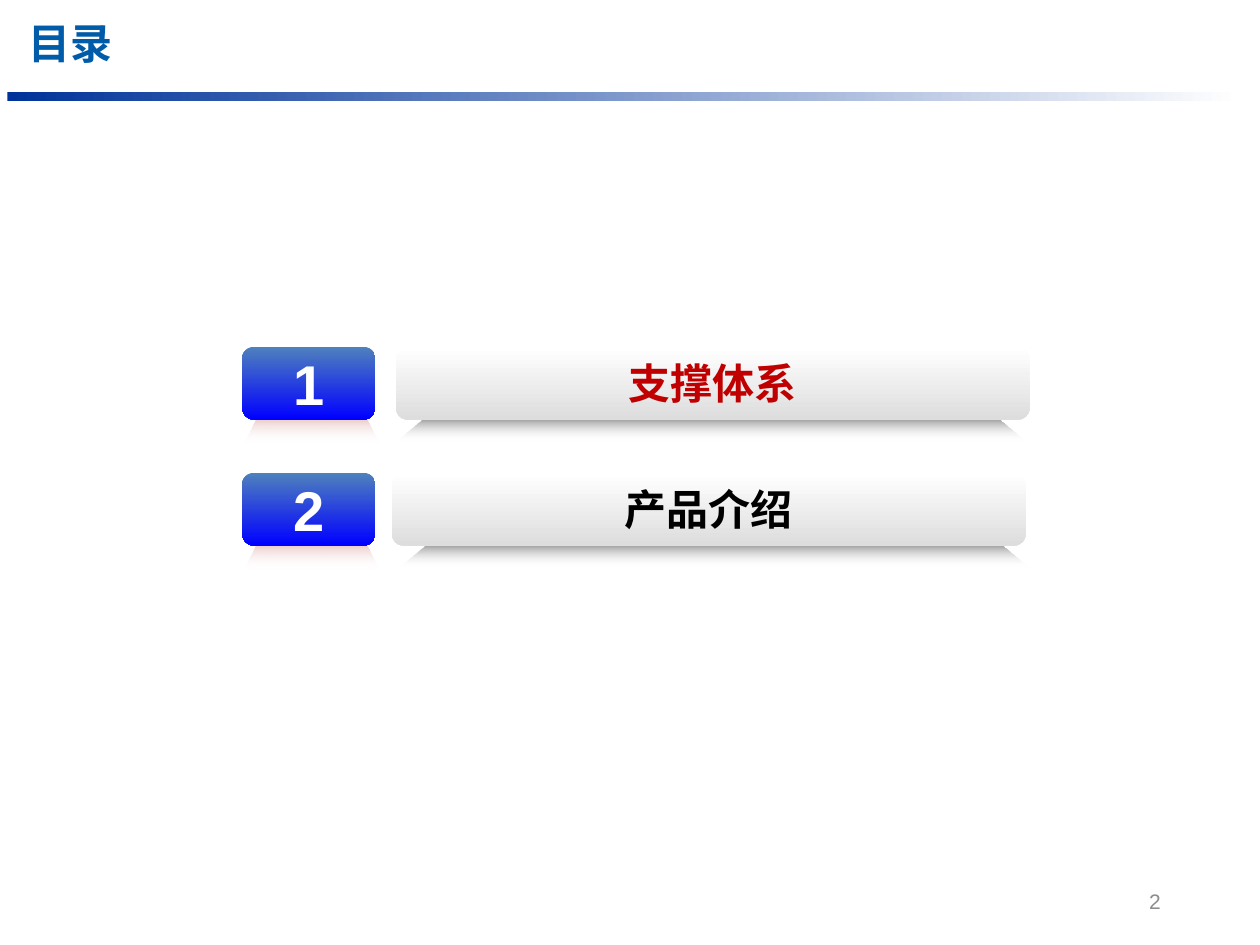
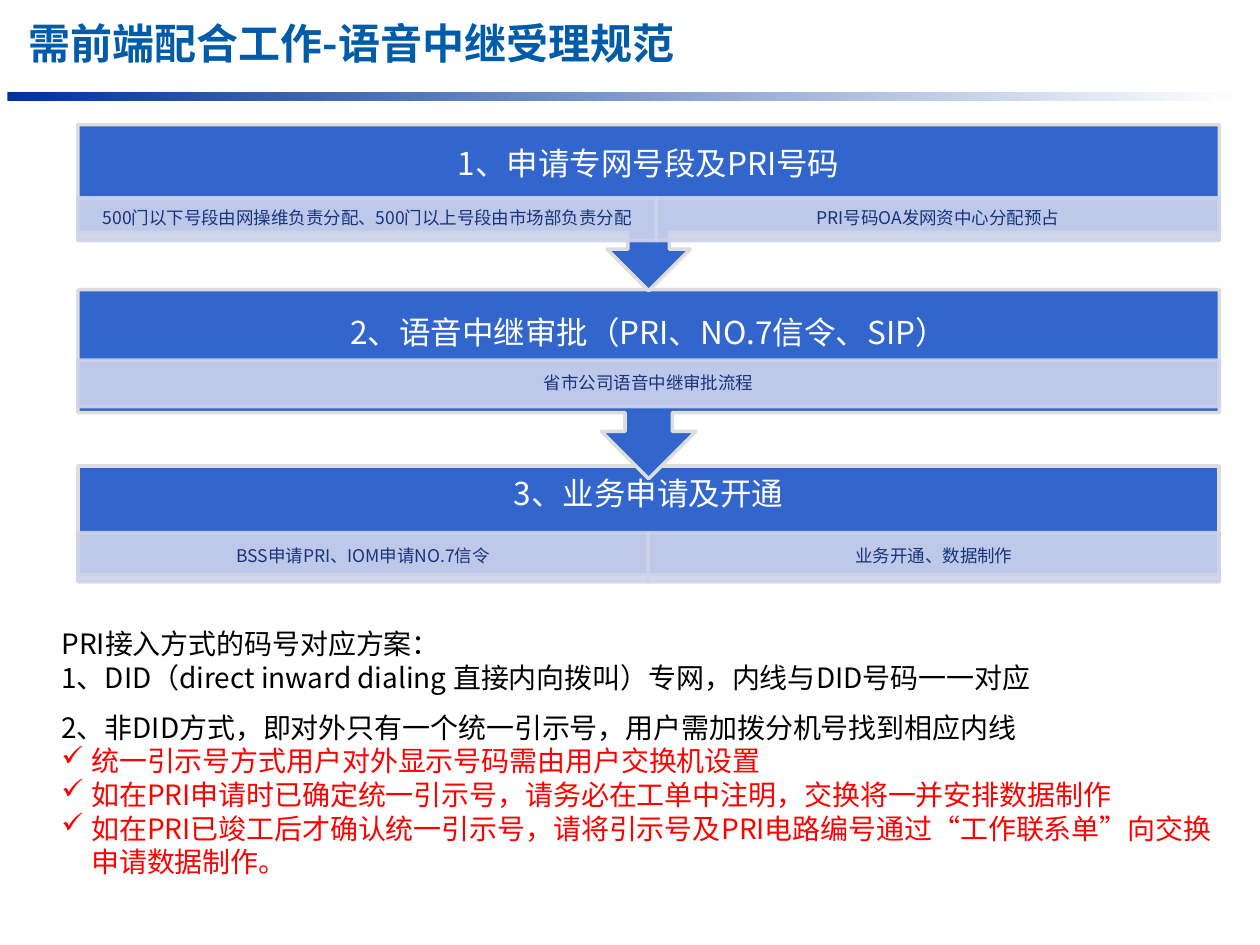
"""Build a contents slide and a slide on voice trunk acceptance."""
from typing import NamedTuple

from lxml import etree
from pptx import Presentation
from pptx.dml.color import RGBColor
from pptx.enum.shapes import MSO_SHAPE
from pptx.enum.text import MSO_ANCHOR, PP_ALIGN
from pptx.oxml.ns import qn
from pptx.shapes.autoshape import Shape
from pptx.slide import Slide
from pptx.util import Cm, Pt

RECT = MSO_SHAPE.RECTANGLE
ROUND = MSO_SHAPE.ROUNDED_RECTANGLE
CALLOUT = MSO_SHAPE.UP_ARROW_CALLOUT
MIDDLE, TOP = MSO_ANCHOR.MIDDLE, MSO_ANCHOR.TOP
LEFT, CENTER, RIGHT = PP_ALIGN.LEFT, PP_ALIGN.CENTER, PP_ALIGN.RIGHT

WHITE = RGBColor(0xFF, 0xFF, 0xFF)
BLACK = RGBColor(0x00, 0x00, 0x00)
NAVY = RGBColor(0x00, 0x33, 0x99)
TITLE = RGBColor(0x00, 0x5C, 0xA9)
GRAY = RGBColor(0x8C, 0x8C, 0x8C)
SILVER = RGBColor(0xDD, 0xDD, 0xDD)
STEEL = RGBColor(0x4F, 0x81, 0xBD)
BLUE = RGBColor(0x00, 0x00, 0xFF)
ROSE = RGBColor(0xC0, 0x50, 0x4D)
CRIMSON = RGBColor(0xC0, 0x00, 0x00)
ROYAL = RGBColor(0x33, 0x66, 0xCC)
PALE = RGBColor(0xCE, 0xD3, 0xEC)
INK = RGBColor(0x17, 0x34, 0x7D)
RED = RGBColor(0xFF, 0x00, 0x00)

ARIAL = "Arial"
NOTO = "Noto Sans CJK SC"
DOWN = 270
ROW_GAP = 2.54
FLOW_LEFT, FLOW_WIDTH = 1.57, 23.01


class Box(NamedTuple):
    """Left, top, width and height in centimetres."""
    left: float
    top: float
    width: float
    height: float

    def size(self) -> tuple[Cm, Cm, Cm, Cm]:
        """Return the box as lengths."""
        return Cm(self.left), Cm(self.top), Cm(self.width), Cm(self.height)


class Style(NamedTuple):
    """Look of a run and of its paragraph."""
    size: float
    color: RGBColor
    font: str = NOTO
    bold: bool = False
    align: PP_ALIGN = CENTER
    spacing: float | None = None
    after: float = 0


class Entry(NamedTuple):
    """One row of the contents."""
    number: str
    label: str
    color: RGBColor
    bar: float
    shade: float


class Cell(NamedTuple):
    """One detail of a step."""
    text: str
    width: float


class Step(NamedTuple):
    """One step of the flow."""
    kind: MSO_SHAPE
    turn: float
    top: float
    height: float
    head: str
    head_top: float
    head_height: float
    cell_top: float
    cell_height: float
    cells: list[Cell]


class Note(NamedTuple):
    """One paragraph of the notes on number plans."""
    text: str
    check: bool = False
    spacing: float | None = None


HEADING = Style(24, TITLE, bold=True, align=LEFT, spacing=0.95)
NUMBER = Style(32, WHITE, ARIAL, True)
STEP_HEAD = Style(18, WHITE, spacing=0.9, after=6.3)
DETAIL = Style(10, INK, spacing=0.9, after=3.5)

ENTRIES = [
    Entry("1", "支撑体系", CRIMSON, 7.98, 8.0),
    Entry("2", "产品介绍", BLACK, 7.9, 8.05),
]

STEPS = [
    Step(CALLOUT, 180, 2.51, 3.35, "1、申请专网号段及PRI号码", 2.95, 0.76, 3.99, 0.86,
         [Cell("500门以下号段由网操维负责分配、500门以上号段由市场部负责分配", 11.66),
          Cell("PRI号码OA发网资中心分配预占", 11.35)]),
    Step(CALLOUT, 180, 5.84, 3.81, "2、语音中继审批（PRI、NO.7信令、SIP）", 6.3, 0.86, 7.26, 0.94,
         [Cell("省市公司语音中继审批流程", FLOW_WIDTH)]),
    Step(RECT, 0, 9.4, 2.18, "3、业务申请及开通", 9.4, 1.17, 10.74, 0.99,
         [Cell("BSS申请PRI、IOM申请NO.7信令", 11.5),
          Cell("业务开通、数据制作", 11.51)]),
]

NOTES = [
    Note("PRI接入方式的码号对应方案："),
    Note("1、DID（direct inward dialing 直接内向拨叫）专网，内线与DID号码一一对应"),
    Note("2、非DID方式，即对外只有一个统一引示号，用户需加拨分机号找到相应内线", spacing=1.5),
    Note("统一引示号方式用户对外显示号码需由用户交换机设置", True),
    Note("如在PRI申请时已确定统一引示号，请务必在工单中注明，交换将一并安排数据制作", True),
    Note("如在PRI已竣工后才确认统一引示号，请将引示号及PRI电路编号通过“工作联系单”向交换申请数据制作。", True),
]


def add_run(para, text: str, style: Style) -> None:
    """Add one styled run to a paragraph."""
    para.alignment = style.align
    para.space_after = Pt(style.after)
    if style.spacing:
        para.line_spacing = style.spacing
    run = para.add_run()
    run.text = text
    font = run.font
    font.size, font.bold, font.name = Pt(style.size), style.bold, style.font
    font.color.rgb = style.color
    etree.SubElement(font._element, qn("a:ea"), typeface=NOTO)


def set_frame(shape: Shape, wrap: bool = True, anchor: MSO_ANCHOR = MIDDLE,
              pad: tuple[float, float] = (0.25, 0.13)):
    """Set wrapping, anchor and margins, and return the text frame."""
    frame = shape.text_frame
    frame.word_wrap, frame.vertical_anchor = wrap, anchor
    frame.margin_left = frame.margin_right = Cm(pad[0])
    frame.margin_top = frame.margin_bottom = Cm(pad[1])
    return frame


def add_text(slide: Slide, box: Box, text: str, style: Style,
             pad: tuple[float, float] = (0.25, 0.13)) -> None:
    """Add a text box with one run."""
    frame = set_frame(slide.shapes.add_textbox(*box.size()), pad=pad)
    add_run(frame.paragraphs[0], text, style)


def add_shape(slide: Slide, kind: MSO_SHAPE, box: Box) -> Shape:
    """Add a preset shape with no shadow and no line."""
    shape = slide.shapes.add_shape(kind, *box.size())
    shape.shadow.inherit = False
    shape.line.fill.background()
    return shape


def set_alpha(shape: Shape, *parts: int) -> None:
    """Give the colours of a shape, in order, their opacity in percent."""
    for color, part in zip(shape.element.spPr.iter(qn("a:srgbClr")), parts):
        etree.SubElement(color, qn("a:alpha"), val=str(part * 1000))


def set_blend(shape: Shape, start: RGBColor, end: RGBColor, angle: int = DOWN) -> None:
    """Fill a shape with a two-colour gradient."""
    fill = shape.fill
    fill.gradient()
    fill.gradient_angle = angle
    for stop, color, place in zip(fill.gradient_stops, (start, end), (0, 1)):
        stop.color.rgb, stop.position = color, place


def set_plain(shape: Shape, fill: RGBColor, line: RGBColor) -> None:
    """Fill and outline a shape in plain colours."""
    shape.fill.solid()
    shape.fill.fore_color.rgb = fill
    shape.line.color.rgb = line
    shape.line.width = Pt(2)


def add_shade(slide: Slide, box: Box, slant: float, color: RGBColor, depth: int) -> None:
    """Add the fading trapezoid under a button."""
    left, top, width, height = box.size()
    inset = Cm(slant)
    pen = slide.shapes.build_freeform(left, top)
    pen.add_line_segments([(left + width, top), (left + width - inset, top + height),
                           (left + inset, top + height)], close=True)
    shade = pen.convert_to_shape()
    shade.shadow.inherit = False
    shade.line.fill.background()
    shade.rotation = 180
    set_blend(shade, WHITE, color)
    set_alpha(shade, 0, depth)


def add_button(slide: Slide, box: Box, start: RGBColor, end: RGBColor,
               text: str, style: Style) -> None:
    """Add a rounded button with a label."""
    button = add_shape(slide, ROUND, box)
    set_blend(button, start, end)
    add_run(set_frame(button, wrap=False).paragraphs[0], text, style)


def add_entry(slide: Slide, entry: Entry, down: float) -> None:
    """Add a numbered row of the contents."""
    top = 6.99 + down
    add_shade(slide, Box(4.93, 8.31 + down, 2.69, 0.61), 0.3, ROSE, 50)
    add_button(slide, Box(4.88, top, 2.69, 1.47), STEEL, BLUE, entry.number, NUMBER)
    add_shade(slide, Box(entry.shade, 8.26 + down, 12.68, 0.61), 0.77, BLACK, 80)
    add_button(slide, Box(entry.bar, top, 12.78, 1.47), WHITE, SILVER,
               entry.label, Style(24, entry.color, ARIAL, True))


def add_step(slide: Slide, step: Step) -> None:
    """Add a step with its heading and details."""
    body = add_shape(slide, step.kind, Box(FLOW_LEFT, step.top, FLOW_WIDTH, step.height))
    body.rotation = step.turn
    set_plain(body, ROYAL, SILVER)
    add_text(slide, Box(FLOW_LEFT, step.head_top, FLOW_WIDTH, step.head_height),
             step.head, STEP_HEAD, (0.36, 0.36))
    left = FLOW_LEFT
    for cell in step.cells:
        shape = add_shape(slide, RECT, Box(left, step.cell_top, cell.width, step.cell_height))
        set_plain(shape, PALE, PALE)
        set_alpha(shape, 90, 90)
        add_run(set_frame(shape, pad=(0.2, 0.03)).paragraphs[0], cell.text, DETAIL)
        left += cell.width


def add_notes(slide: Slide, box: Box) -> None:
    """Add the notes, with check marks on the red ones."""
    frame = set_frame(slide.shapes.add_textbox(*box.size()), anchor=TOP)
    for index, note in enumerate(NOTES):
        para = frame.add_paragraph() if index else frame.paragraphs[0]
        color = RED if note.check else BLACK
        add_run(para, note.text, Style(16, color, align=LEFT, spacing=note.spacing))
        if note.check:
            props = para._p.get_or_add_pPr()
            props.set("marL", str(Cm(0.6)))
            props.set("indent", str(Cm(-0.6)))
            etree.SubElement(props, qn("a:buChar"), char="✓")


def add_slide(deck, title: str, font: str) -> Slide:
    """Add a blank slide with the shared band and title."""
    slide = deck.slides.add_slide(deck.slide_layouts[6])
    band = add_shape(slide, RECT, Box(0.15, 1.85, 24.87, 0.18))
    set_blend(band, NAVY, WHITE, 0)
    add_text(slide, Box(0.3, 0.13, 21.08, 1.57), title,
             HEADING._replace(font=font), (0.28, 0.15))
    return slide


def main() -> None:
    """Build and save the deck."""
    deck = Presentation()
    deck.slide_width, deck.slide_height = Cm(25.4), Cm(19.05)

    index = add_slide(deck, "目录", ARIAL)
    add_text(index, Box(17.93, 17.65, 5.72, 1.02), "2", Style(12, GRAY, ARIAL, align=RIGHT))
    for row, entry in enumerate(ENTRIES):
        add_entry(index, entry, row * ROW_GAP)

    flow = add_slide(deck, "需前端配合工作-语音中继受理规范", NOTO)
    for step in reversed(STEPS):
        add_step(flow, step)
    add_notes(flow, Box(0.99, 12.5, 24.0, 5.38))

    deck.save("out.pptx")


if __name__ == "__main__":
    main()
